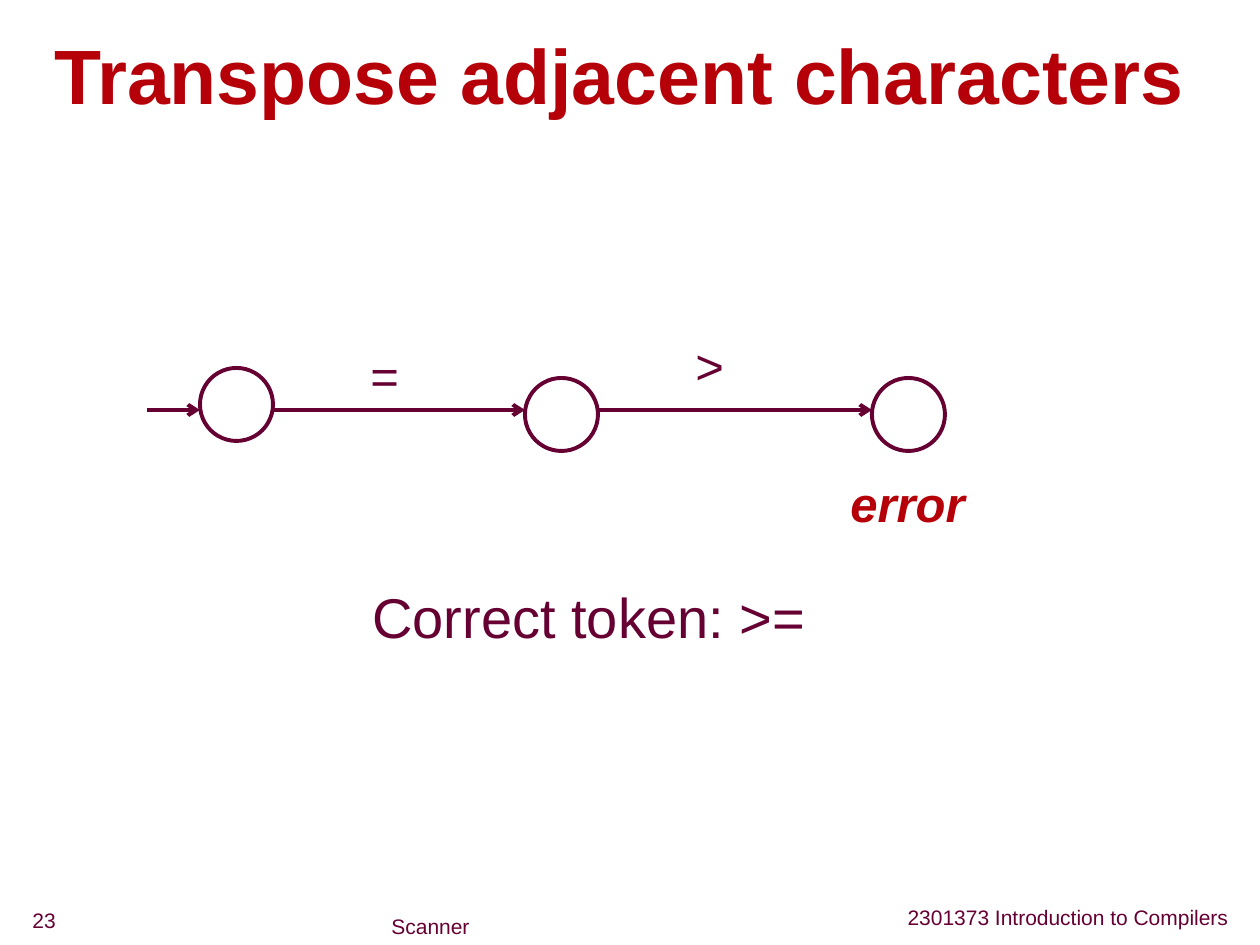
from dataclasses import dataclass

from lxml.etree import SubElement
from pptx import Presentation
from pptx.dml.color import RGBColor
from pptx.enum.shapes import MSO_CONNECTOR, MSO_SHAPE
from pptx.enum.text import MSO_ANCHOR, PP_ALIGN
from pptx.oxml.ns import qn
from pptx.util import Pt


@dataclass(frozen=True)
class Theme:
    font: str = "Arial"
    red: RGBColor = RGBColor(0xB6, 0x00, 0x09)
    plum: RGBColor = RGBColor(0x66, 0x00, 0x33)
    title: int = 44
    body: int = 32
    label: int = 28
    foot: int = 12
    line: float = 2.25


theme = Theme()
SCALE = 914400 / 126


def emu(*sizes):
    """Turn px lengths into EMU."""
    return [round(size * SCALE) for size in sizes]


def write(text, box, size, color=theme.plum, bold=False, slant=False,
          align=PP_ALIGN.LEFT, anchor=MSO_ANCHOR.TOP, wrap=True):
    frame = slide.shapes.add_textbox(*emu(*box)).text_frame
    frame.text = text
    frame.word_wrap = wrap
    frame.vertical_anchor = anchor
    para = frame.paragraphs[0]
    para.alignment = align
    font = para.runs[0].font
    font.name, font.size = theme.font, Pt(size)
    font.color.rgb = color
    font.bold, font.italic = bold, slant


deck = Presentation()
deck.slide_width, deck.slide_height = emu(1260, 945)
slide = deck.slides.add_slide(deck.slide_layouts[6])

write("Transpose adjacent characters", (42, 20, 1191, 106), theme.title,
      theme.red, bold=True, anchor=MSO_ANCHOR.BOTTOM)

# States of the automaton
SIDE = 73
states = [(200, 368), (525, 378), (872, 378)]
for left, top in states:
    state = slide.shapes.add_shape(
        MSO_SHAPE.OVAL, *emu(left, top, SIDE, SIDE))
    state.shadow.inherit = False
    state.fill.background()
    state.line.color.rgb = theme.plum
    state.line.width = Pt(theme.line)

# Each arrow runs from the previous state's right edge to the next state
AXIS = 410
start = 147
for left, top in states:
    arrow = slide.shapes.add_connector(
        MSO_CONNECTOR.STRAIGHT, *emu(start, AXIS, left, AXIS))
    arrow.line.color.rgb = theme.plum
    arrow.line.width = Pt(theme.line)
    SubElement(arrow.line._get_or_add_ln(), qn("a:tailEnd"), type="arrow")
    SubElement(arrow._element.spPr, qn("a:effectLst"))
    start = left + SIDE

# Labels
write("=", (358, 339, 53, 72), theme.label, wrap=False)
write(">", (683, 329, 53, 72), theme.label, wrap=False)
write("error", (838, 467, 160, 72), theme.label, theme.red,
      bold=True, slant=True)
write("Correct token: >=", (360, 576, 459, 81), theme.body, wrap=False)

# Footer
for text, box, align in [
    ("2301373 Introduction to Compilers", (620, 892, 621, 44), PP_ALIGN.RIGHT),
    ("23", (20, 913, 210, 26), PP_ALIGN.LEFT),
    ("Scanner", (252, 913, 357, 32), PP_ALIGN.CENTER),
]:
    write(text, box, theme.foot, align=align, anchor=MSO_ANCHOR.BOTTOM)

deck.save("out.pptx")
